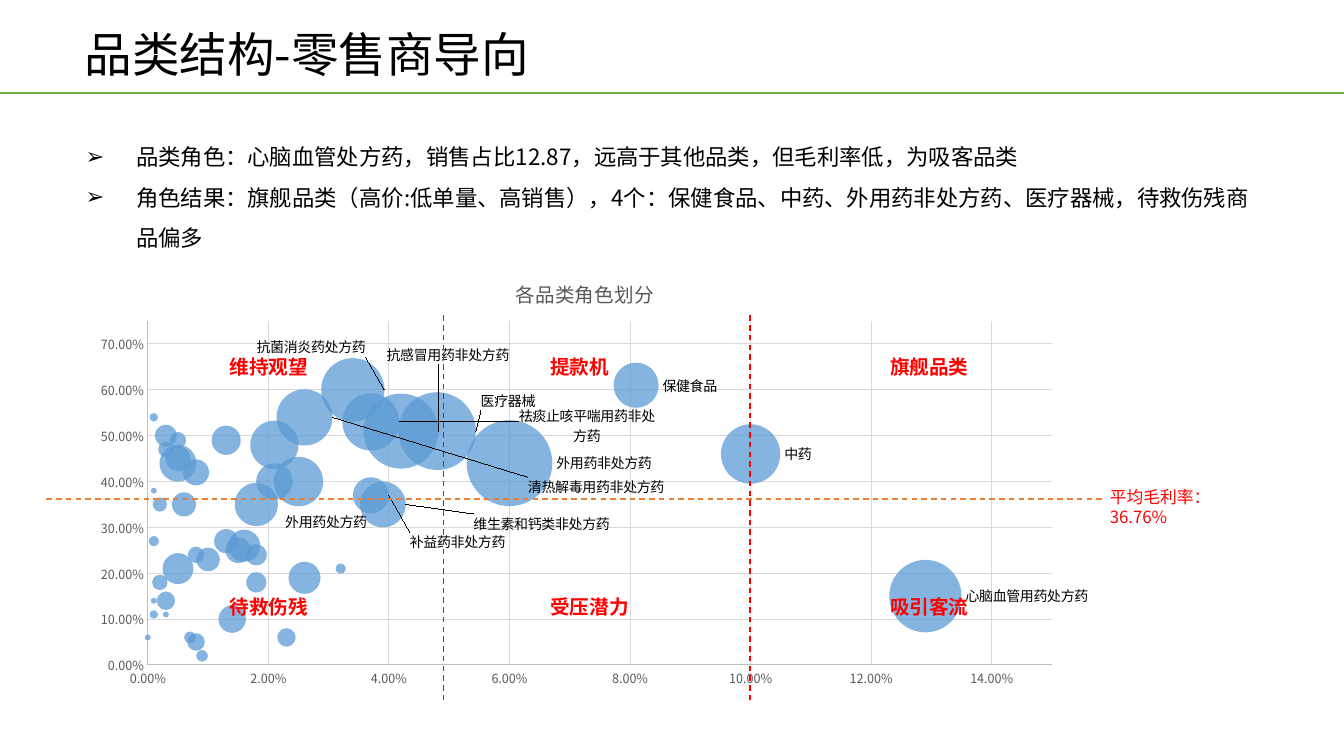
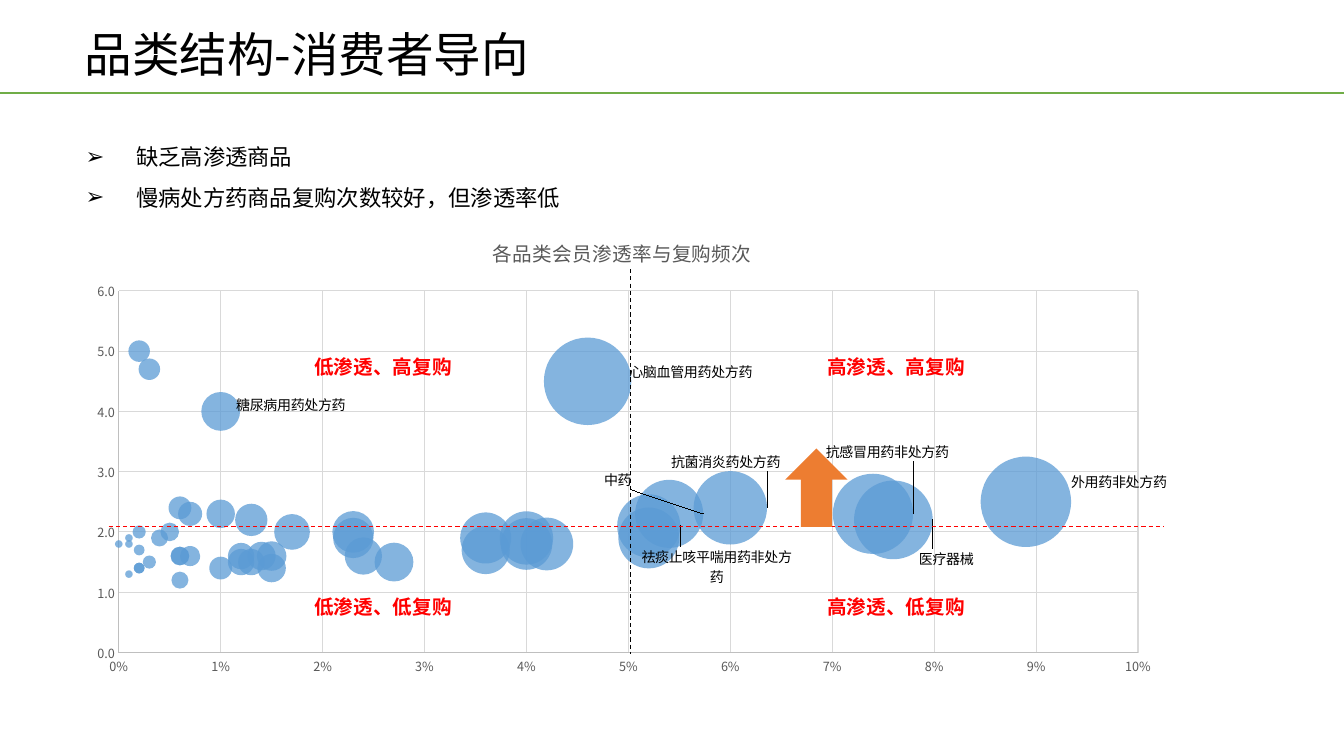
from lxml import etree
from pptx import Presentation
from pptx import util as u
from pptx.chart import data
from pptx.dml.color import RGBColor
from pptx.enum import chart as charts
from pptx.enum import dml, shapes, text
from pptx.oxml import parse_xml
from pptx.oxml.ns import nsdecls, qn

COLORS = {
    "ink": "000000", "rule": "70AD47", "alert": "FF0000", "accent": "ED7D31",
    "bubble": "5B9BD5", "muted": "595959", "axis": "BFBFBF", "grid": "D9D9D9",
}
FONT = "Noto Sans CJK SC"
C15 = 'xmlns:c15="http://schemas.microsoft.com/office/drawing/2012/chart"'
EXT = "{CE6537A1-D6FC-4f65-9D91-7224C49458BB}"
SIZE_UNIT = 100000
LONG_LABEL = 10  # characters above which a label takes two lines

# Category shares in thousandths, margins in hundredths, sales in 100,000s
RETAIL = {
    "x": [129, 100, 81, 60, 48, 42, 39, 37, 37, 34, 32, 26, 26, 25, 23, 21, 21, 18, 18,
          18, 16, 15, 14, 13, 13, 10, 9, 8, 8, 8, 7, 6, 5, 5, 5, 5, 3, 3, 3, 3, 2, 2,
          1, 1, 1, 1, 1, 0, 0, 0, 0, 0, 0, 0, 0],
    "y": [15, 46, 61, 44, 51, 51, 35, 37, 53, 60, 21, 54, 19, 40, 6, 40, 48, 24, 18, 35,
          26, 25, 10, 27, 49, 23, 2, 42, 5, 24, 6, 35, 45, 49, 21, 44, 11, 50, 47, 14,
          18, 35, 38, 27, 54, 14, 11, 6, 9, 43, 54, 4, 19, 66, 25],
    "size": [153, 103, 59, 215, 176, 164, 61, 38, 95, 117, 3, 92, 30, 71, 10, 39, 68, 13,
             12, 55, 30, 19, 22, 17, 25, 16, 4, 20, 9, 8, 4, 17, 18, 8, 28, 40, 1, 14, 7,
             10, 7, 6, 1, 3, 2, 1, 2, 1, 0, 0, 0, 0, 0, 0, 0],
    "y_unit": 100,
    # point: (label, shift right, shift down) in cm
    "labels": {
        0: ("心脑血管用药处方药", 0, 0), 1: ("中药", 0, 0), 2: ("保健食品", 0, 0),
        3: ("外用药非处方药", 0, 0), 4: ("医疗器械", 0.02, -0.76),
        5: ("抗感冒用药非处方药", -1.41, -1.92), 6: ("维生素和钙类非处方药", 1.61, 0.49),
        7: ("补益药非处方药", 0.43, 1.18), 8: ("祛痰止咳平喘用药非处方药", 2.92, 0.1),
        9: ("抗菌消炎药处方药", -3.33, -1.08), 11: ("清热解毒用药非处方药", 4.84, 1.76),
        19: ("外用药处方药", 0.08, 0.44),
    },
}
# Penetration in thousandths, repurchase in tenths, sales in 100,000s
CONSUMER = {
    "x": [12, 54, 15, 40, 42, 14, 6, 0, 6, 0, 76, 36, 89, 6, 15, 46, 0, 6, 74, 2, 10, 60,
          0, 24, 7, 3, 10, 1, 3, 0, 27, 12, 52, 2, 0, 1, 2, 13, 52, 2, 0, 10, 0, 4, 36, 7,
          1, 23, 40, 0, 2, 5, 23, 17, 13],
    "y": [15, 23, 14, 18, 18, 16, 12, 11, 24, 15, 22, 17, 25, 16, 16, 45, 18, 16, 23, 17,
          14, 24, 12, 16, 16, 15, 23, 13, 47, 12, 15, 16, 19, 20, 25, 18, 14, 22, 21, 50,
          22, 40, 21, 19, 19, 23, 19, 20, 19, 13, 14, 20, 19, 20, 15],
    "size": [12, 80, 14, 46, 48, 14, 5, 0, 9, 0, 107, 40, 141, 6, 15, 132, 1, 6, 111, 2, 9,
             93, 0, 24, 7, 3, 14, 1, 8, 0, 26, 12, 64, 3, 0, 1, 2, 18, 69, 8, 0, 26, 0, 5,
             45, 10, 1, 30, 49, 0, 2, 6, 28, 22, 12],
    "y_unit": 10,
    "labels": {
        1: ("中药", -2.6, -0.86), 10: ("医疗器械", -0.45, 0.98),
        12: ("外用药非处方药", -0.1, -0.5), 15: ("心脑血管用药处方药", -0.15, -0.24),
        18: ("抗感冒用药非处方药", -2.3, -1.56), 21: ("抗菌消炎药处方药", -2.52, -1.16),
        38: ("祛痰止咳平喘用药非处方药", -1.08, 1.03), 41: ("糖尿病用药处方药", -0.2, -0.17),
    },
}


def manual_layout(**parts):
    """Chart layout element; parts are fractions of the chart."""
    children = "".join(f'<c:{key} val="{value}"/>' for key, value in parts.items())
    return parse_xml(f'<c:layout {nsdecls("c")}><c:manualLayout>{children}'
                     '</c:manualLayout></c:layout>')


class Deck:
    def __init__(self):
        self.deck = Presentation()
        self.deck.slide_width, self.deck.slide_height = u.Cm(33.87), u.Cm(19.05)
        self.layout = self.deck.slide_layouts[1]
        self.page = None

    def color(self, name):
        return RGBColor.from_string(COLORS[name])

    def style(self, font, size, color="ink", bold=False):
        font.name, font.size, font.bold = FONT, u.Pt(size), bold
        font.color.rgb = self.color(color)

    def span(self, para, words, size, color="ink", bold=False):
        span = para.add_run()
        span.text = words
        self.style(span.font, size, color, bold)

    def place(self, box, left, top, width, height):
        box.left, box.top = u.Cm(left), u.Cm(top)
        box.width, box.height = u.Cm(width), u.Cm(height)

    def frame(self, box, side, edge, wrap=True):
        frame = box.text_frame
        frame.word_wrap, frame.auto_size = wrap, text.MSO_AUTO_SIZE.NONE
        frame.vertical_anchor = text.MSO_ANCHOR.TOP
        frame.margin_left = frame.margin_right = u.Cm(side)
        frame.margin_top = frame.margin_bottom = u.Cm(edge)
        return frame

    def new_page(self, title):
        self.page = self.deck.slides.add_slide(self.layout)
        box = self.page.shapes.title
        self.place(box, 1.88, 0.66, 20.27, 1.57)
        para = self.frame(box, 0.25, 0.13).paragraphs[0]
        para.alignment, para.line_spacing = text.PP_ALIGN.LEFT, 0.9
        self.span(para, title, 34)

    def bullets(self, lines, height):
        box = self.page.placeholders[1]
        self.place(box, 1.83, 3.1, 30, height)
        frame = self.frame(box, 0.33, 0.18)
        for number, line in enumerate(lines):
            para = frame.add_paragraph() if number else frame.paragraphs[0]
            para.line_spacing, para.space_before = 1.5, u.Pt(0)
            self.span(para, line, 16)
            props = para._p.get_or_add_pPr()
            props.set("marL", str(u.Cm(1.27)))
            props.set("indent", str(-u.Cm(1.27)))
            etree.SubElement(props, qn("a:buChar")).set("char", "➢")

    def line(self, x1, y1, x2, y2, color, width=1, dashed=True):
        line = self.page.shapes.add_connector(
            shapes.MSO_CONNECTOR.STRAIGHT, u.Cm(x1), u.Cm(y1), u.Cm(x2), u.Cm(y2))
        line.line.color.rgb, line.line.width = self.color(color), u.Pt(width)
        if dashed:
            line.line.dash_style = dml.MSO_LINE.DASH
        etree.SubElement(line.element.spPr, qn("a:effectLst"))
        return line

    def master_rule(self):
        """Green rule under the title, kept on the shared layout."""
        rule = self.line(0, 2.34, 33.87, 2.34, "rule", 1.5, dashed=False)
        self.layout.shapes.element.append(rule.element)

    def note(self, words, left, top, width, size=14, bold=True, wrap=False):
        box = self.page.shapes.add_textbox(u.Cm(left), u.Cm(top), u.Cm(width), u.Cm(0.61))
        para = self.frame(box, 0, 0, wrap).paragraphs[0]
        self.span(para, words, size, "alert", bold)

    def up_arrow(self, left, top, width, height):
        arrow = self.page.shapes.add_shape(
            shapes.MSO_SHAPE.UP_ARROW, u.Cm(left), u.Cm(top), u.Cm(width), u.Cm(height))
        arrow.shadow.inherit = False
        arrow.fill.solid()
        arrow.fill.fore_color.rgb = self.color("accent")
        arrow.line.fill.background()

    def axis(self, axis, maximum, step, number_format):
        axis.minimum_scale, axis.maximum_scale, axis.major_unit = 0, maximum, step
        axis.major_tick_mark = axis.minor_tick_mark = charts.XL_TICK_MARK.NONE
        axis.has_major_gridlines = True
        for line, color in ((axis.format.line, "axis"),
                            (axis.major_gridlines.format.line, "grid")):
            line.color.rgb, line.width = self.color(color), u.Pt(0.75)
        labels = axis.tick_labels
        labels.number_format, labels.number_format_is_linked = number_format, False
        self.style(labels.font, 9, "muted")

    def bubble_labels(self, chart, labels, width, height):
        points = chart.plots[0].series[0].points
        for index, (words, right, down) in labels.items():
            label = points[index].data_label
            self.span(label.text_frame.paragraphs[0], words, 10)
            label.position = charts.XL_LABEL_POSITION.RIGHT
        group = chart.element.find(f".//{qn('c:ser')}/{qn('c:dLbls')}")
        for node in group.findall(qn("c:dLbl")):
            number = node.find(qn("c:idx"))
            words, right, down = labels[int(number.get("val"))]
            if right or down:
                number.addnext(manual_layout(x=right / width, y=down / height))
            if len(words) > LONG_LABEL:
                node.append(parse_xml(
                    f'<c:extLst {nsdecls("c")}><c:ext uri="{EXT}" {C15}><c15:layout>'
                    '<c:manualLayout><c:w val="0.15"/><c:h val="0.09"/></c:manualLayout>'
                    '</c15:layout></c:ext></c:extLst>'))
        # Other points stay unlabelled; moved labels get leader lines
        group.find(qn("c:showVal")).set("val", "0")
        group.append(parse_xml(
            f'<c:extLst {nsdecls("c")}><c:ext uri="{EXT}" {C15}>'
            '<c15:showLeaderLines val="1"/></c:ext></c:extLst>'))

    def bubble_chart(self, title, source, place, plot, x_axis, y_axis):
        chart_data = data.BubbleChartData()
        points = chart_data.add_series("Series 1")
        for x, y, size in zip(source["x"], source["y"], source["size"]):
            points.add_data_point(x / 1000, y / source["y_unit"], size * SIZE_UNIT)
        chart = self.page.shapes.add_chart(
            charts.XL_CHART_TYPE.BUBBLE, *map(u.Cm, place), chart_data).chart
        self.style(chart.font, 10)
        chart.has_legend, chart.has_title = False, True
        self.span(chart.chart_title.text_frame.paragraphs[0], title, 14, "muted")
        self.axis(chart.category_axis, *x_axis)
        self.axis(chart.value_axis, *y_axis)
        # Fixed plot area
        area = chart.element.find(".//" + qn("c:plotArea"))
        for old in area.findall(qn("c:layout")):
            area.remove(old)
        left, top, width, height = plot
        layout = manual_layout(x=left, y=top, w=width, h=height)
        for tag, value in (("yMode", "edge"), ("xMode", "edge"), ("layoutTarget", "inner")):
            mode = etree.Element(qn("c:" + tag))
            mode.set("val", value)
            layout[0].insert(0, mode)
        area.insert(0, layout)
        # Translucent bubbles
        series = chart.plots[0].series[0]
        series.format.fill.solid()
        series.format.fill.fore_color.rgb = self.color("bubble")
        series.format.line.fill.background()
        shade = area.find(f".//{qn('c:ser')}/{qn('c:spPr')}//{qn('a:srgbClr')}")
        etree.SubElement(shade, qn("a:alpha")).set("val", "75000")
        self.bubble_labels(chart, source["labels"], *place[2:])
        self.east_asian(chart.element)

    def east_asian(self, root):
        """Use each Latin typeface for Chinese text too."""
        for latin in list(root.iter(qn("a:latin"))):
            asian = etree.Element(qn("a:ea"))
            asian.set("typeface", latin.get("typeface"))
            latin.addnext(asian)

    def save(self):
        for page in self.deck.slides:
            self.east_asian(page.element)
        self.deck.save("out.pptx")


def main():
    deck = Deck()

    # Retailer view
    deck.new_page("品类结构-零售商导向")
    deck.master_rule()
    deck.bullets(["品类角色：心脑血管处方药，销售占比12.87，远高于其他品类，但毛利率低，为吸客品类",
                  "角色结果：旗舰品类（高价:低单量、高销售），4个：保健食品、中药、外用药非处方药、"
                  "医疗器械，待救伤残商品偏多"], 3.43)
    deck.bubble_chart("各品类角色划分", RETAIL, (2.08, 6.53, 25.4, 11),
                      (0.065, 0.142, 0.9, 0.788),
                      (0.15, 0.02, "0.00%"), (0.75, 0.1, "0.00%"))
    for x in (11.18, 18.9):
        deck.line(x, 7.95, x, 17.63, "alert")
    deck.line(1.17, 12.57, 27.76, 12.57, "accent")
    deck.note("平均毛利率：36.76%", 27.97, 12.27, 3, size=12, bold=False, wrap=True)
    for left, upper, lower in ((5.79, "维持观望", "待救伤残"), (13.87, "提款机", "受压潜力"),
                               (22.43, "旗舰品类", "吸引客流")):
        deck.note(upper, left, 8.94, 2)
        deck.note(lower, left, 14.98, 2)

    # Consumer view
    deck.new_page("品类结构-消费者导向")
    deck.bullets(["缺乏高渗透商品", "慢病处方药商品复购次数较好，但渗透率低"], 2.39)
    deck.bubble_chart("各品类会员渗透率与复购频次", CONSUMER, (1.83, 5.49, 27.71, 11.73),
                      (0.042, 0.157, 0.927, 0.777), (0.1, 0.01, "0%"), (6, 1, "0.0"))
    deck.line(15.88, 6.78, 15.88, 16.48, "ink", 0.75)
    deck.line(2.74, 13.26, 29.34, 13.26, "alert", 0.75)
    for left, level in ((7.92, "低渗透"), (20.85, "高渗透")):
        deck.note(level + "、高复购", left, 8.94, 3.48)
        deck.note(level + "、低复购", left, 14.98, 3.48)
    deck.up_arrow(19.79, 11.3, 1.57, 1.98)

    deck.save()


if __name__ == "__main__":
    main()
